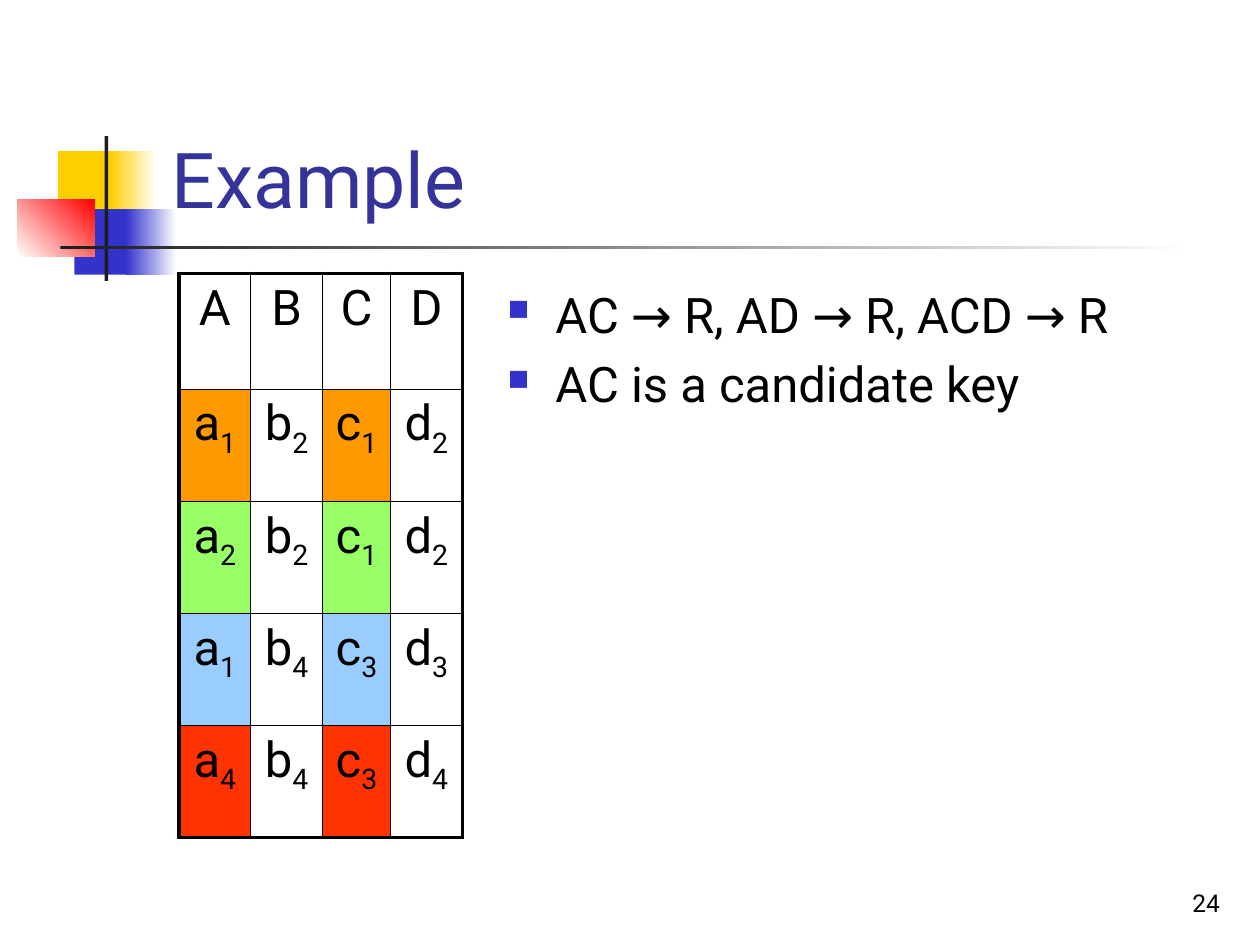
import dataclasses
import typing

import lxml.etree
import pptx
import pptx.dml.color
import pptx.enum.shapes
import pptx.enum.text
import pptx.oxml.ns
import pptx.util

Inches = pptx.util.Inches
Pt = pptx.util.Pt
RGBColor = pptx.dml.color.RGBColor
Align = pptx.enum.text.PP_ALIGN
Anchor = pptx.enum.text.MSO_ANCHOR
qn = pptx.oxml.ns.qn

FONT = "Roboto"
BLACK = RGBColor(0x00, 0x00, 0x00)
WHITE = RGBColor(0xFF, 0xFF, 0xFF)
CHARCOAL = RGBColor(0x1C, 0x1C, 0x1C)
YELLOW = RGBColor(0xFF, 0xCF, 0x01)
BLUE = RGBColor(0x33, 0x33, 0xCC)
RED = RGBColor(0xFF, 0x00, 0x00)
TITLE_BLUE = RGBColor(0x33, 0x33, 0x99)
ORANGE = RGBColor(0xFF, 0x99, 0x00)
GREEN = RGBColor(0x99, 0xFF, 0x66)
SKY = RGBColor(0x99, 0xCC, 0xFF)
VERMILION = RGBColor(0xFF, 0x33, 0x00)

THIN, THICK = 1, 2.25


@dataclasses.dataclass
class Block:
    """A decorative rectangle; a second colour makes it a gradient."""
    left: float
    top: float
    width: float
    height: float
    color: RGBColor
    fade_to: typing.Optional[RGBColor] = None
    angle: float = 0


@dataclasses.dataclass
class Row:
    """A table row; the key columns A and C take the key colour."""
    values: list[str]
    key_color: typing.Optional[RGBColor] = None


BLOCKS = [
    Block(0.46, 1.2, 0.48, 0.52, YELLOW),
    Block(0.88, 1.2, 0.36, 0.52, YELLOW, WHITE),
    Block(0.59, 1.66, 0.46, 0.52, BLUE),
    Block(1, 1.66, 0.4, 0.52, BLUE, WHITE),
    Block(0.14, 1.58, 0.61, 0.46, WHITE, RED, 45),
    Block(0.83, 1.08, 0.03, 1.15, CHARCOAL),
    Block(0.48, 1.95, 9, 0.03, CHARCOAL, WHITE),
]
ROWS = [
    Row(["A", "B", "C", "D"]),
    Row(["a1", "b2", "c1", "d2"], ORANGE),
    Row(["a2", "b2", "c1", "d2"], GREEN),
    Row(["a1", "b4", "c3", "d3"], SKY),
    Row(["a4", "b4", "c3", "d4"], VERMILION),
]
COLUMN_WIDTHS = [0.57, 0.57, 0.54, 0.57]
ROW_HEIGHTS = [0.92] + [0.89] * 4
KEY_COLUMNS = (0, 2)


def add_block(page, block: Block) -> None:
    shape = page.shapes.add_shape(
        pptx.enum.shapes.MSO_SHAPE.RECTANGLE, Inches(block.left), Inches(block.top),
        Inches(block.width), Inches(block.height))
    shape.shadow.inherit = False
    shape.line.fill.background()
    if block.fade_to is None:
        shape.fill.solid()
        shape.fill.fore_color.rgb = block.color
        return
    shape.fill.gradient()
    shape.fill.gradient_angle = block.angle
    for stop, color in zip(shape.fill.gradient_stops, (block.color, block.fade_to)):
        stop.color.rgb = color


def add_bullet(para) -> None:
    properties = para._p.get_or_add_pPr()
    properties.set("marL", str(Inches(0.38)))
    properties.set("indent", str(-Inches(0.38)))
    color = lxml.etree.SubElement(properties, qn("a:buClr"))
    lxml.etree.SubElement(color, qn("a:srgbClr"), val=str(BLUE))
    lxml.etree.SubElement(properties, qn("a:buSzPct"), val="60000")
    lxml.etree.SubElement(properties, qn("a:buChar"), char="■")


def write(para, text: str, *, size: float = 28, color: RGBColor = BLACK,
          align=Align.LEFT, bullet: bool = False, space_before: float = 0,
          subscript: str = "") -> None:
    if bullet:
        add_bullet(para)
    para.alignment = align
    para.space_before = Pt(space_before)
    for part in filter(None, (text, subscript)):
        span = para.add_run()
        span.text = part
        span.font.name = FONT
        span.font.size = Pt(size)
        span.font.color.rgb = color
    if subscript:
        span.font._element.set("baseline", "-25000")


def add_box(page, left: float, top: float, width: float, height: float, anchor=Anchor.TOP):
    box = page.shapes.add_textbox(Inches(left), Inches(top), Inches(width), Inches(height))
    box.text_frame.word_wrap = True
    box.text_frame.vertical_anchor = anchor
    return box.text_frame


def set_borders(cell, **widths: float) -> None:
    properties = cell._tc.get_or_add_tcPr()
    for side in "LRTB":
        line = lxml.etree.SubElement(properties, qn(f"a:ln{side}"), w=str(Pt(widths[side])))
        fill = lxml.etree.SubElement(line, qn("a:solidFill"))
        lxml.etree.SubElement(fill, qn("a:srgbClr"), val=str(BLACK))


def add_relation(page, rows: list[Row]) -> None:
    table = page.shapes.add_table(
        len(rows), len(COLUMN_WIDTHS), Inches(1.42), Inches(2.17),
        Inches(sum(COLUMN_WIDTHS)), Inches(sum(ROW_HEIGHTS))).table
    table.first_row = table.horz_banding = False
    for column, width in zip(table.columns, COLUMN_WIDTHS):
        column.width = Inches(width)
    last_row, last_column = len(rows) - 1, len(COLUMN_WIDTHS) - 1
    for r, row in enumerate(rows):
        table.rows[r].height = Inches(ROW_HEIGHTS[r])
        for c, value in enumerate(row.values):
            cell = table.cell(r, c)
            write(cell.text_frame.paragraphs[0], value[0], subscript=value[1:],
                  align=Align.CENTER)
            set_borders(cell, L=THICK if c == 0 else THIN,
                        R=THICK if c == last_column else THIN,
                        T=THICK if r == 0 else THIN,
                        B=THICK if r == last_row else THIN)
            if row.key_color is not None and c in KEY_COLUMNS:
                cell.fill.solid()
                cell.fill.fore_color.rgb = row.key_color
            else:
                cell.fill.background()


def main() -> None:
    deck = pptx.Presentation()
    deck.slide_width, deck.slide_height = Inches(10), Inches(7.5)
    page = deck.slides.add_slide(deck.slide_layouts[5])

    # Corner decoration and rule
    for block in BLOCKS:
        add_block(page, block)

    # Title
    title = page.shapes.title
    title.left, title.top = Inches(1.26), Inches(0.23)
    title.width, title.height = Inches(8.52), Inches(1.6)
    title.text_frame.auto_size = pptx.enum.text.MSO_AUTO_SIZE.NONE
    title.text_frame.vertical_anchor = Anchor.BOTTOM
    write(title.text_frame.paragraphs[0], "Example", size=44, color=TITLE_BLUE)

    # Key statements
    body = add_box(page, 3.93, 2.21, 5.87, 4.5)
    write(body.paragraphs[0], "AC → R, AD → R, ACD → R", bullet=True)
    write(body.add_paragraph(), "AC is a candidate key", bullet=True, space_before=6)

    # Relation table
    add_relation(page, ROWS)

    # Page number
    number = add_box(page, 7.7, 6.83, 2.08, 0.5, Anchor.BOTTOM)
    write(number.paragraphs[0], "24", size=14, align=Align.RIGHT)

    deck.save("out.pptx")


if __name__ == "__main__":
    main()
